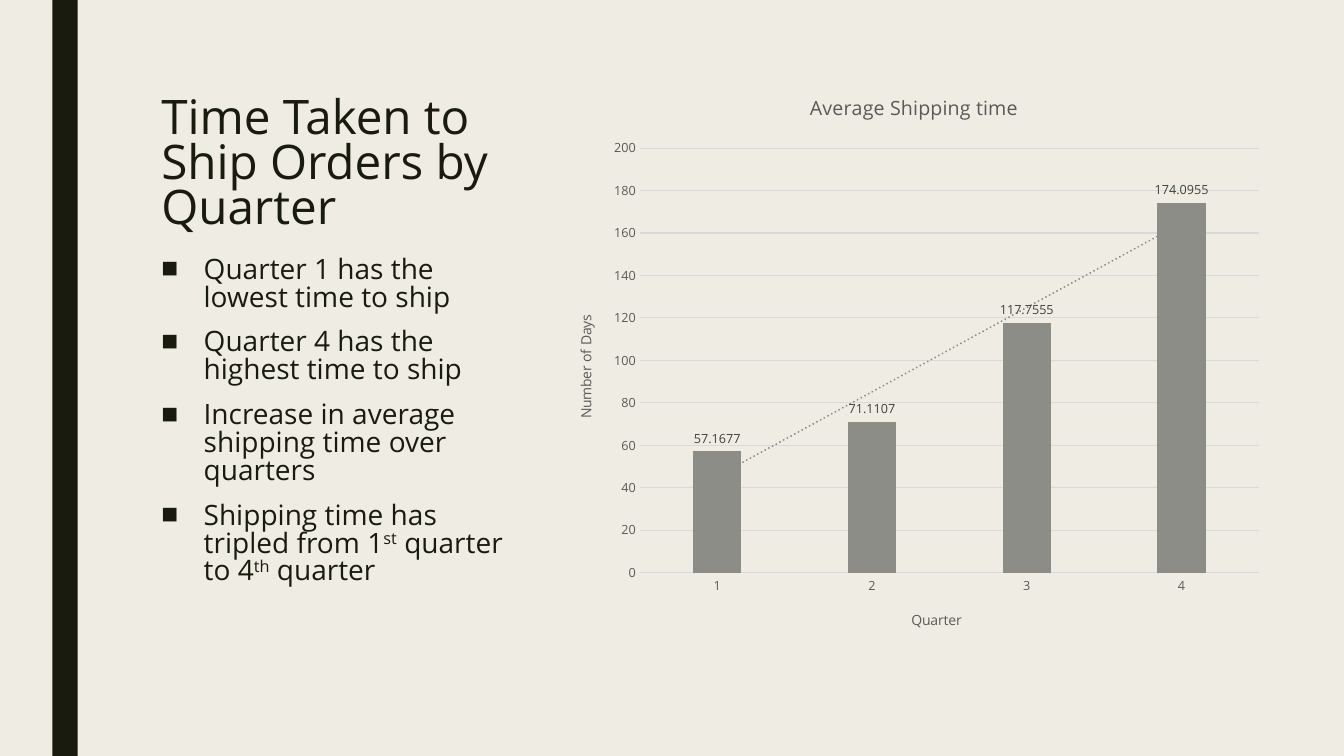
"""Build the slide on shipping time by quarter."""
from dataclasses import dataclass

from lxml import etree
from pptx import Presentation
from pptx.chart.data import CategoryChartData
from pptx.dml.color import RGBColor
from pptx.enum import chart as charts, shapes, text
from pptx.oxml import parse_xml
from pptx.oxml.ns import nsdecls, qn
from pptx.util import Inches, Pt


@dataclass(frozen=True)
class Theme:
    """Colours, font and type sizes of the slide."""
    font: str = "Open Sans"
    paper: str = "EFEDE3"
    ink: str = "191B0E"
    column: str = "8C8D86"
    grid: str = "D9D9D9"
    axis: str = "595959"
    label: str = "404040"
    title_size: float = 34
    body_size: float = 20
    chart_title_size: float = 14
    axis_title_size: float = 10
    tick_size: float = 9


THEME = Theme()
TITLE = "Time Taken to Ship Orders by Quarter"
POINTS = [
    ["Quarter 1 has the lowest time to ship"],
    ["Quarter 4 has the highest time to ship"],
    ["Increase in average shipping time over quarters"],
    ["Shipping time has tripled from 1", "st", " quarter to 4", "th", " quarter"],
]
AVERAGE_DAYS = {"1": 57.1677, "2": 71.1107, "3": 117.7555, "4": 174.0955}


def style_font(font, size, colour):
    """Apply the theme font with a size and colour."""
    font.name = THEME.font
    font.size = Pt(size)
    font.bold = False
    font.color.rgb = RGBColor.from_string(colour)


def place(box, left, top, width, height):
    """Move and size a box, given inches."""
    box.left, box.top = Inches(left), Inches(top)
    box.width, box.height = Inches(width), Inches(height)


def set_frame(frame, anchor):
    """Make a text frame wrap at a fixed size."""
    frame.word_wrap = True
    frame.auto_size = text.MSO_AUTO_SIZE.NONE
    frame.vertical_anchor = anchor


def add_side_bar(page):
    """Add the dark vertical bar."""
    bar = page.shapes.add_shape(shapes.MSO_SHAPE.RECTANGLE, Inches(0.52), 0,
                                Inches(0.25), Inches(7.5))
    bar.shadow.inherit = False
    bar.fill.solid()
    bar.fill.fore_color.rgb = RGBColor.from_string(THEME.ink)
    bar.line.fill.background()


def fill_title(box):
    """Write the slide title."""
    place(box, 1.5, 0.75, 3.59, 1.62)
    set_frame(box.text_frame, text.MSO_ANCHOR.BOTTOM)
    box.text_frame.text = TITLE
    para = box.text_frame.paragraphs[0]
    para.alignment = text.PP_ALIGN.LEFT
    para.line_spacing = 0.79
    style_font(para.runs[0].font, THEME.title_size, THEME.ink)


def set_bullet(para):
    """Give a paragraph a square bullet and hanging indent."""
    properties = para._p.get_or_add_pPr()
    properties.set("marL", str(Inches(0.42)))
    properties.set("indent", str(Inches(-0.42)))
    etree.SubElement(properties, qn("a:buChar")).set("char", "■")


def fill_points(box):
    """Write the bulleted list, raising every second span."""
    place(box, 1.5, 2.5, 3.59, 3.92)
    frame = box.text_frame
    set_frame(frame, text.MSO_ANCHOR.TOP)
    for index, pieces in enumerate(POINTS):
        para = frame.add_paragraph() if index else frame.paragraphs[0]
        para.line_spacing = 0.83
        para.space_before, para.space_after = Pt(10), Pt(2)
        set_bullet(para)
        for position, piece in enumerate(pieces):
            span = para.add_run()
            span.text = piece
            style_font(span.font, THEME.body_size, THEME.ink)
            if position % 2:
                span.font._element.set("baseline", "30000")


def write_chart_title(owner, wording, size):
    """Title a chart or an axis."""
    frame = (owner.chart_title if hasattr(owner, "chart_title")
             else owner.axis_title).text_frame
    frame.text = wording
    style_font(frame.paragraphs[0].runs[0].font, size, THEME.axis)


def style_axis(axis, wording):
    """Title an axis and style its tick labels."""
    write_chart_title(axis, wording, THEME.axis_title_size)
    axis.major_tick_mark = axis.minor_tick_mark = charts.XL_TICK_MARK.NONE
    style_font(axis.tick_labels.font, THEME.tick_size, THEME.axis)


def style_line(line, colour):
    """Draw a thin solid chart line."""
    line.color.rgb = RGBColor.from_string(colour)
    line.width = Pt(0.75)


def add_trend(series):
    """Add a dotted linear trend line to a series."""
    trend = parse_xml(
        f'<c:trendline {nsdecls("c", "a")}><c:spPr><a:ln w="{Pt(1.5)}" cap="rnd">'
        f'<a:solidFill><a:srgbClr val="{THEME.column}"/></a:solidFill>'
        '<a:prstDash val="sysDot"/></a:ln></c:spPr>'
        '<c:trendlineType val="linear"/><c:dispRSqr val="0"/>'
        '<c:dispEq val="0"/></c:trendline>')
    series._element.find(qn("c:cat")).addprevious(trend)


def add_shipping_chart(page):
    """Add the column chart of average shipping time."""
    data = CategoryChartData()
    data.categories = list(AVERAGE_DAYS)
    data.add_series("Series 1", list(AVERAGE_DAYS.values()))
    chart = page.shapes.add_chart(
        charts.XL_CHART_TYPE.COLUMN_CLUSTERED, Inches(5.5), Inches(0.71),
        Inches(7.13), Inches(5.74), data).chart
    style_font(chart.font, THEME.axis_title_size, THEME.axis)
    chart.has_legend = False
    write_chart_title(chart, "Average Shipping time", THEME.chart_title_size)

    style_axis(chart.category_axis, "Quarter")
    style_line(chart.category_axis.format.line, THEME.grid)
    days = chart.value_axis
    style_axis(days, "Number of Days")
    days.minimum_scale, days.maximum_scale, days.major_unit = 0, 200, 20
    days.format.line.fill.background()
    style_line(days.major_gridlines.format.line, THEME.grid)

    plot = chart.plots[0]
    plot.vary_by_categories = False
    plot.gap_width, plot.overlap = 219, -27
    series = plot.series[0]
    series.format.fill.solid()
    series.format.fill.fore_color.rgb = RGBColor.from_string(THEME.column)
    labels = series.data_labels
    labels.show_value = True
    labels.position = charts.XL_LABEL_POSITION.OUTSIDE_END
    style_font(labels.font, THEME.tick_size, THEME.label)
    add_trend(series)


def main():
    """Build and save the deck."""
    deck = Presentation()
    deck.slide_width, deck.slide_height = Inches(13.33), Inches(7.5)
    page = deck.slides.add_slide(deck.slide_layouts[1])
    page.background.fill.solid()
    page.background.fill.fore_color.rgb = RGBColor.from_string(THEME.paper)
    add_side_bar(page)
    fill_title(page.shapes.title)
    fill_points(page.placeholders[1])
    add_shipping_chart(page)
    deck.save("out.pptx")


if __name__ == "__main__":
    main()
